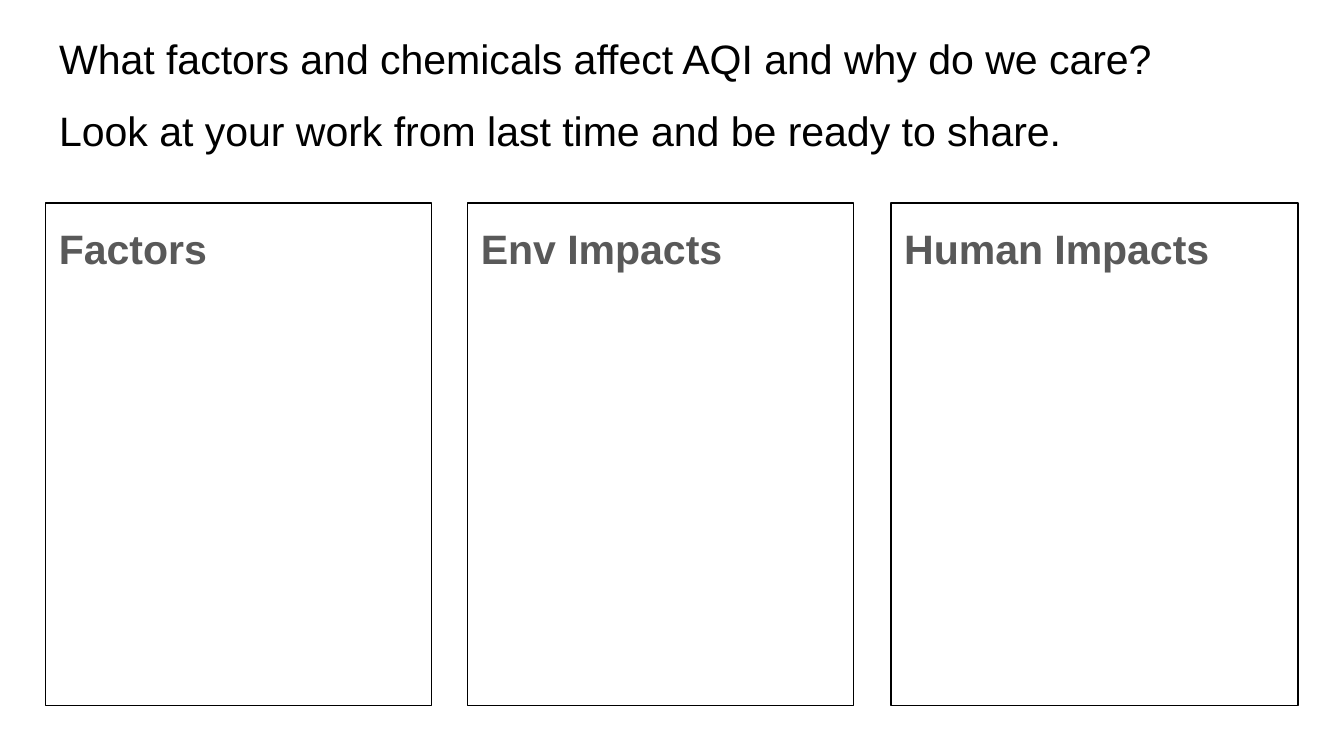
"""Build a slide with a two-line question above three labelled note boxes."""
from pptx import Presentation
from pptx.dml.color import RGBColor
from pptx.enum.shapes import MSO_SHAPE
from pptx.enum.text import MSO_ANCHOR, MSO_AUTO_SIZE, PP_ALIGN
from pptx.util import Inches, Pt

RECTANGLE = MSO_SHAPE.RECTANGLE
TOP = MSO_ANCHOR.TOP
LEFT = PP_ALIGN.LEFT
NO_AUTOFIT = MSO_AUTO_SIZE.NONE
BLACK = RGBColor(0x00, 0x00, 0x00)
GRAY = RGBColor(0x59, 0x59, 0x59)


def set_up_frame(frame):
    frame.word_wrap = True
    frame.auto_size = NO_AUTOFIT
    frame.vertical_anchor = TOP
    frame.margin_left = frame.margin_right = Inches(0.1)
    frame.margin_top = frame.margin_bottom = Inches(0.1)


def format_paragraph(paragraph, color, bold):
    paragraph.alignment = LEFT
    paragraph.font.name = "Arial"
    paragraph.font.size = Pt(22)
    paragraph.font.bold = bold
    paragraph.font.color.rgb = color


presentation = Presentation()
presentation.slide_width = Inches(10)
presentation.slide_height = Inches(10 * 9 / 16)
slide = presentation.slides.add_slide(presentation.slide_layouts[5])

title = slide.shapes.title
title.left, title.top = Inches(0.34), Inches(0.15)
title.width, title.height = Inches(9.32), Inches(1)
set_up_frame(title.text_frame)
title.text_frame.text = (
    "What factors and chemicals affect AQI and why do we care?\n"
    "Look at your work from last time and be ready to share."
)
for paragraph, space_before in zip(title.text_frame.paragraphs, (0, 12)):
    format_paragraph(paragraph, BLACK, False)
    paragraph.space_before = Pt(space_before)

columns = [
    ("Factors", 0.34, 2.87),
    ("Env Impacts", 3.48, 2.87),
    ("Human Impacts", 6.63, 3.03),
]
for heading, left, width in columns:
    box = slide.shapes.add_shape(
        RECTANGLE, Inches(left), Inches(1.51), Inches(width), Inches(3.74)
    )
    box.shadow.inherit = False
    box.fill.background()
    box.line.color.rgb = BLACK
    box.line.width = Pt(0.75)
    set_up_frame(box.text_frame)
    box.text_frame.text = heading
    paragraph = box.text_frame.paragraphs[0]
    format_paragraph(paragraph, GRAY, True)
    paragraph.line_spacing = 1.15

presentation.save("out.pptx")
